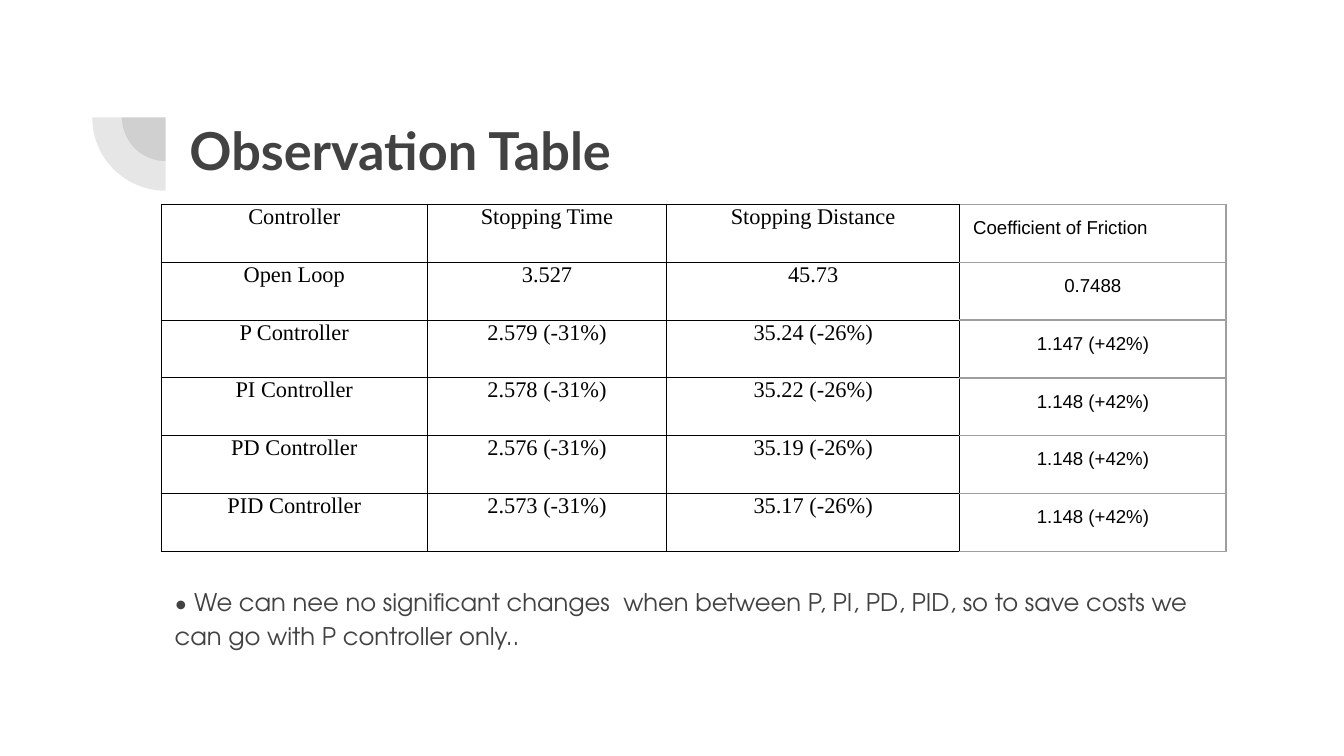
from dataclasses import dataclass

import lxml.etree
import pptx
import pptx.dml.color
import pptx.enum.shapes
import pptx.enum.text
import pptx.oxml.ns
import pptx.util

Pt = pptx.util.Pt
ALIGN = pptx.enum.text.PP_ALIGN
INK = "424242"
BLACK = "000000"
GREY = "9E9E9E"


@dataclass(frozen=True)
class TextStyle:
    font: str
    size: float
    color: str
    bold: bool = False


@dataclass(frozen=True)
class Border:
    color: str
    width: float


@dataclass(frozen=True)
class Column:
    width: float
    style: TextStyle
    side_inset: float
    top_inset: float
    header_align: ALIGN
    left: Border
    edges: Border


@dataclass(frozen=True)
class Pie:
    center_x: float
    center_y: float
    diameter: float


TITLE = TextStyle("Lato", 28, INK, True)
NOTE = TextStyle("TeX Gyre Adventor", 13, INK)
SERIF = TextStyle("Times New Roman", 12, BLACK)
SANS = TextStyle("Arial", 10, BLACK)
THIN = Border(BLACK, 0.5)
SOFT = Border(GREY, 0.75)

COLUMNS = [
    *(Column(width, SERIF, 5.04, 0, ALIGN.CENTER, THIN, THIN)
      for width in (142.6, 128.2, 157)),
    Column(142.6, SANS, 7.2, 7.2, ALIGN.LEFT, THIN, SOFT),
]
ROWS = [
    ("Controller", "Stopping Time", "Stopping Distance", "Coefficient of Friction"),
    ("Open Loop", "3.527", "45.73", "0.7488"),
    ("P Controller", "2.579 (-31%)", "35.24 (-26%)", "1.147 (+42%)"),
    ("PI Controller", "2.578 (-31%)", "35.22 (-26%)", "1.148 (+42%)"),
    ("PD Controller", "2.576 (-31%)", "35.19 (-26%)", "1.148 (+42%)"),
    ("PID Controller", "2.573 (-31%)", "35.17 (-26%)", "1.148 (+42%)"),
]
ROW_HEIGHT = 31
PIES = [Pie(88.7, 62.9, 46.8), Pie(88.7, 62.9, 78.6)]


def rgb(color: str) -> pptx.dml.color.RGBColor:
    return pptx.dml.color.RGBColor.from_string(color)


def add_element(parent, tag: str, **attributes: str):
    element = lxml.etree.SubElement(parent, pptx.oxml.ns.qn(tag))
    for name, value in attributes.items():
        element.set(name, value)
    return element


def format_paragraph(para, style: TextStyle, align: ALIGN) -> None:
    para.alignment = align
    for span in para.runs:
        span.font.name = style.font
        span.font.size = Pt(style.size)
        span.font.bold = style.bold
        span.font.color.rgb = rgb(style.color)


def fill_placeholder(box, text: str, style: TextStyle,
                     left: float, top: float, width: float, height: float):
    box.left, box.top, box.width, box.height = map(Pt, (left, top, width, height))
    frame = box.text_frame
    frame.text = text
    frame.word_wrap = True
    frame.auto_size = pptx.enum.text.MSO_AUTO_SIZE.NONE
    frame.vertical_anchor = pptx.enum.text.MSO_ANCHOR.TOP
    frame.margin_left = frame.margin_right = Pt(7.2)
    frame.margin_top = frame.margin_bottom = Pt(7.2)
    para = frame.paragraphs[0]
    format_paragraph(para, style, ALIGN.LEFT)
    return para


def add_pie(page, pie: Pie) -> None:
    shape = page.shapes.add_shape(
        pptx.enum.shapes.MSO_SHAPE.PIE,
        Pt(pie.center_x - pie.diameter / 2), Pt(pie.center_y - pie.diameter / 2),
        Pt(pie.diameter), Pt(pie.diameter))
    shape.adjustments[0] = 108
    shape.adjustments[1] = 162
    shape.rotation = 270
    shape.shadow.inherit = False
    shape.line.fill.background()
    shape.fill.solid()
    shape.fill.fore_color.rgb = rgb(INK)
    color = shape.fill._xPr.find(".//" + pptx.oxml.ns.qn("a:srgbClr"))
    add_element(color, "a:alpha", val="13000")


def set_borders(cell, column: Column, right: Border) -> None:
    properties = cell._tc.get_or_add_tcPr()
    sides = {"a:lnL": column.left, "a:lnR": right,
             "a:lnT": column.edges, "a:lnB": column.edges}
    for position, (tag, border) in enumerate(sides.items()):
        line = add_element(properties, tag, w=str(Pt(border.width)))
        fill = add_element(line, "a:solidFill")
        add_element(fill, "a:srgbClr", val=border.color)
        properties.insert(position, line)


def add_observations(page, left: float, top: float) -> None:
    width = sum(column.width for column in COLUMNS)
    table = page.shapes.add_table(
        len(ROWS), len(COLUMNS), Pt(left), Pt(top),
        Pt(width), Pt(ROW_HEIGHT * len(ROWS))).table
    table.first_row = False
    table.horz_banding = False
    rights = [column.left for column in COLUMNS[1:]] + [COLUMNS[-1].edges]
    for index, column in enumerate(COLUMNS):
        table.columns[index].width = Pt(column.width)
        for row, values in enumerate(ROWS):
            cell = table.cell(row, index)
            cell.text_frame.text = values[index]
            cell.margin_left = cell.margin_right = Pt(column.side_inset)
            cell.margin_top = cell.margin_bottom = Pt(column.top_inset)
            cell.vertical_anchor = pptx.enum.text.MSO_ANCHOR.TOP
            cell.fill.background()
            align = column.header_align if row == 0 else ALIGN.CENTER
            format_paragraph(cell.text_frame.paragraphs[0], column.style, align)
            set_borders(cell, column, rights[index])


def main() -> None:
    deck = pptx.Presentation()
    deck.slide_width, deck.slide_height = Pt(720), Pt(405)
    page = deck.slides.add_slide(deck.slide_layouts[1])
    for pie in PIES:
        add_pie(page, pie)
    fill_placeholder(page.shapes.title, "Observation Table", TITLE,
                     94.3, 56.2, 553.7, 59)
    add_observations(page, 86.4, 109.5)
    note = fill_placeholder(
        page.placeholders[1],
        "• We can nee no significant changes  when between P, PI, PD, PID, "
        "so to save costs we can go with P controller only..",
        NOTE, 86.4, 305.3, 573.8, 48.2)
    note.line_spacing = 1.15
    note.space_before = Pt(0)
    note.space_after = Pt(12)
    properties = note._p.get_or_add_pPr()
    properties.set("marL", "0")
    properties.set("indent", "0")
    add_element(properties, "a:buNone")
    deck.save("out.pptx")


if __name__ == "__main__":
    main()
